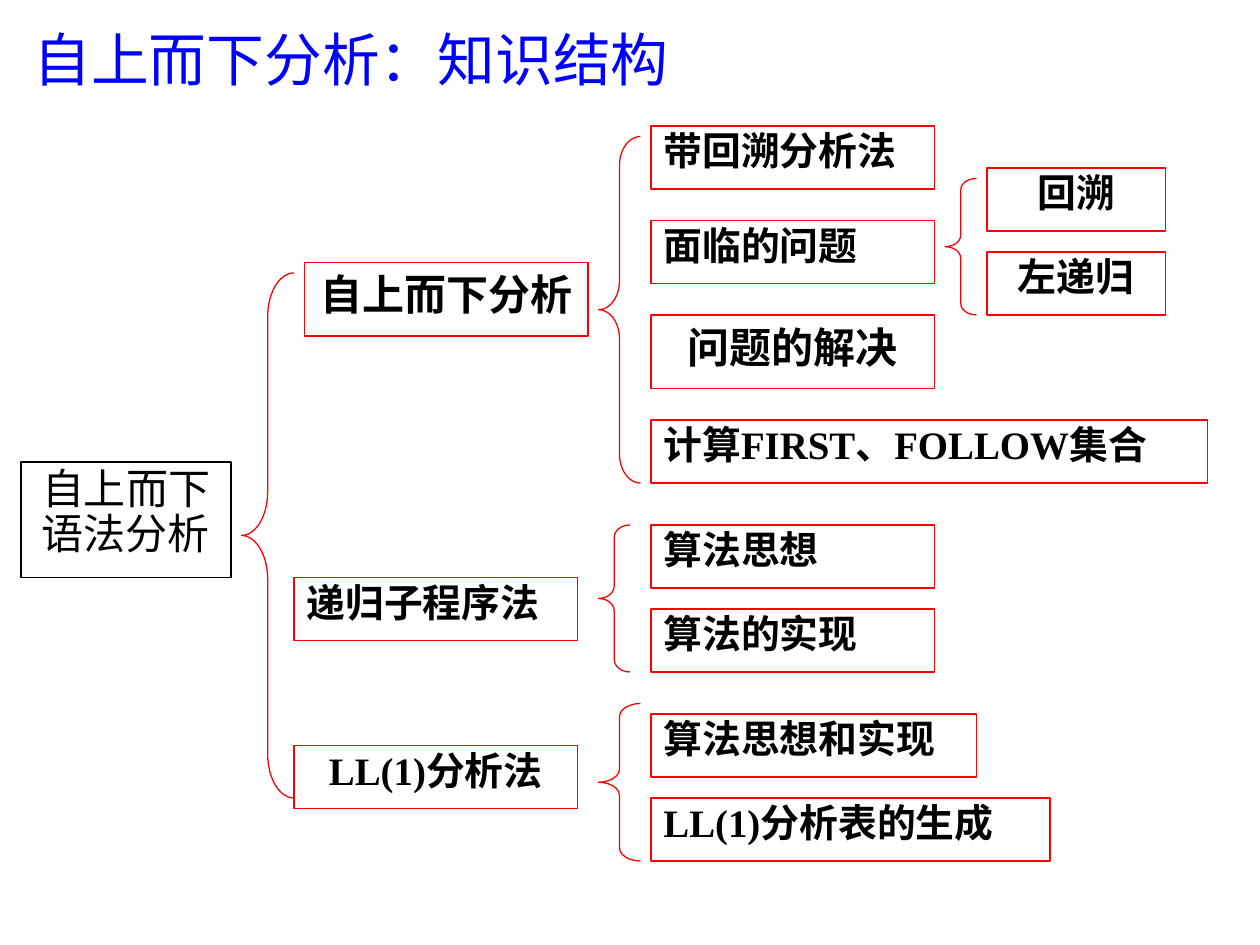
"""Build the knowledge-structure slide for top-down parsing."""
from pptx import Presentation
from pptx.dml.color import RGBColor
from pptx.enum.shapes import MSO_SHAPE
from pptx.enum.text import MSO_ANCHOR, PP_ALIGN
from pptx.util import Pt

RECTANGLE, LEFT_BRACE = MSO_SHAPE.RECTANGLE, MSO_SHAPE.LEFT_BRACE
TOP, MIDDLE = MSO_ANCHOR.TOP, MSO_ANCHOR.MIDDLE
LEFT, CENTER, JUSTIFY = PP_ALIGN.LEFT, PP_ALIGN.CENTER, PP_ALIGN.JUSTIFY
BLUE, BLACK, RED = "0000FF", "000000", "FF0000"


def color(hex_value):
    return RGBColor.from_string(hex_value)


def write(shape, text, size=22.2, font="Times New Roman", ink=BLACK, bold=True,
          align=JUSTIFY, anchor=TOP, spacing=0.9):
    frame = shape.text_frame
    frame.word_wrap = True
    frame.vertical_anchor = anchor
    para = frame.paragraphs[0]
    para.alignment = align
    para.line_spacing = spacing
    span = para.add_run()
    span.text = text
    span.font.size = Pt(size)
    span.font.name = font
    span.font.bold = bold
    span.font.color.rgb = color(ink)


deck = Presentation()
deck.slide_width, deck.slide_height = Pt(720), Pt(540)
page = deck.slides.add_slide(deck.slide_layouts[6])

title = page.shapes.add_textbox(Pt(12), Pt(6), Pt(666), Pt(60))
write(title, "自上而下分析：知识结构", size=33, font="Calibri", ink=BLUE,
      bold=False, align=LEFT, anchor=MIDDLE)

root = {"size": 24, "font": "Calibri", "bold": False, "align": CENTER}
large = {"size": 24, "align": CENTER, "spacing": 1.0}
centered = {"align": CENTER}
nodes = [
    ("自上而下语法分析", 12, 264, 120, 66, BLACK, root),
    ("自上而下分析", 174, 150, 162, 42, RED, large),
    ("递归子程序法", 168, 330, 162, 36, RED, {}),
    ("LL(1)分析法", 168, 426, 162, 36, RED, centered),
    ("带回溯分析法", 372, 72, 162, 36, RED, {}),
    ("面临的问题", 372, 126, 162, 36, RED, {}),
    ("问题的解决", 372, 180, 162, 42, RED, large),
    ("计算FIRST、FOLLOW集合", 372, 240, 318, 36, RED, {}),
    ("回溯", 564, 96, 102, 36, RED, centered),
    ("左递归", 564, 144, 102, 36, RED, centered),
    ("算法思想", 372, 300, 162, 36, RED, {}),
    ("算法的实现", 372, 348, 162, 36, RED, {}),
    ("算法思想和实现", 372, 408, 186, 36, RED, {}),
    ("LL(1)分析表的生成", 372, 456, 228, 36, RED, {}),
]
for text, left, top, width, height, outline, style in nodes:
    box = page.shapes.add_shape(RECTANGLE, Pt(left), Pt(top), Pt(width), Pt(height))
    box.shadow.inherit = False
    box.fill.background()
    box.line.color.rgb = color(outline)
    box.line.width = Pt(0.75)
    write(box, text, **style)

braces = [
    (138, 156, 30, 300),
    (342, 78, 24, 198),
    (540, 102, 18, 78),
    (342, 300, 18, 84),
    (342, 402, 24, 90),
]
for left, top, width, height in braces:
    brace = page.shapes.add_shape(LEFT_BRACE, Pt(left), Pt(top), Pt(width), Pt(height))
    brace.adjustments[0] = height / 12 / width
    brace.shadow.inherit = False
    brace.fill.background()
    brace.line.color.rgb = color(RED)
    brace.line.width = Pt(0.75)

deck.save("out.pptx")
